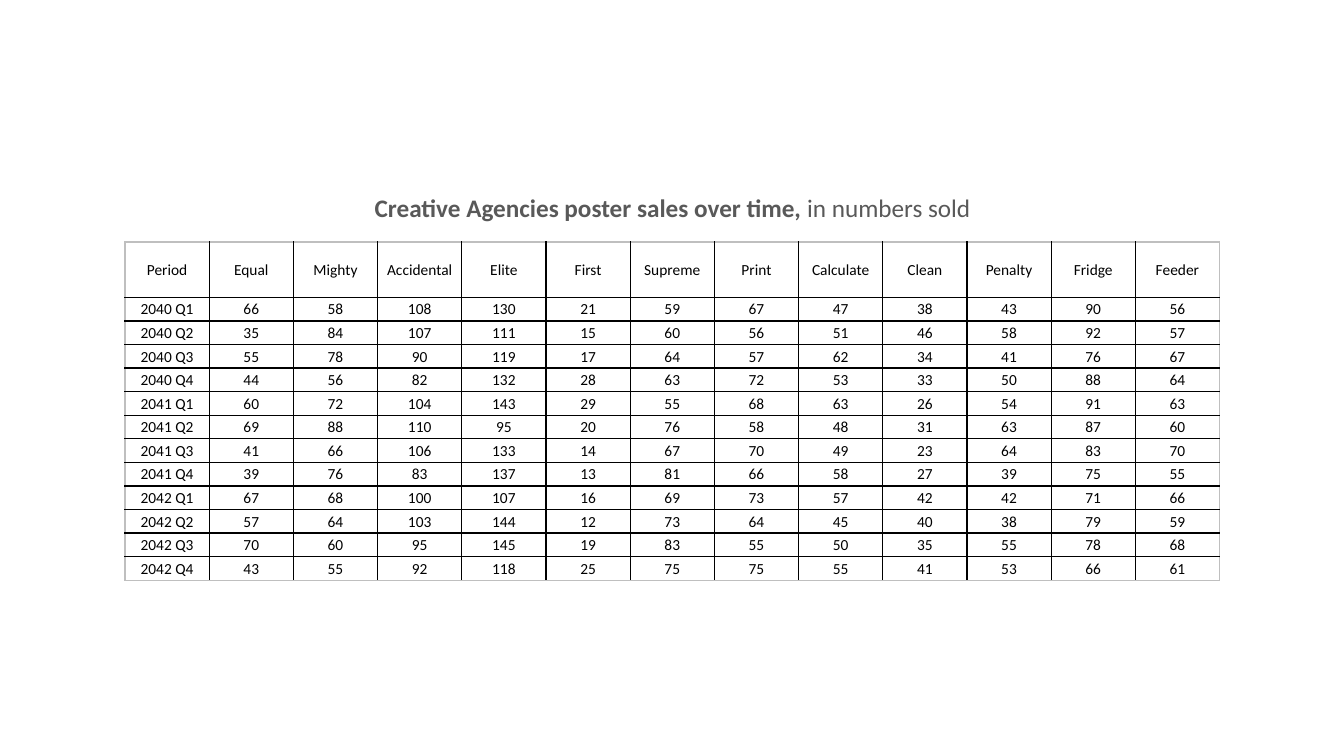
from lxml import etree
from pptx import Presentation
from pptx.dml.color import RGBColor
from pptx.enum.text import MSO_ANCHOR, MSO_AUTO_SIZE, PP_ALIGN
from pptx.oxml.ns import qn
from pptx.util import Inches, Pt

MIDDLE = MSO_ANCHOR.MIDDLE
CENTER = PP_ALIGN.CENTER
FIXED = MSO_AUTO_SIZE.NONE

TITLE = ("Creative Agencies poster sales over time, ", "in numbers sold")
HEADS = ("Period", "Equal", "Mighty", "Accidental", "Elite", "First", "Supreme",
         "Print", "Calculate", "Clean", "Penalty", "Fridge", "Feeder")
SALES = [
    ("2040 Q1", 66, 58, 108, 130, 21, 59, 67, 47, 38, 43, 90, 56),
    ("2040 Q2", 35, 84, 107, 111, 15, 60, 56, 51, 46, 58, 92, 57),
    ("2040 Q3", 55, 78, 90, 119, 17, 64, 57, 62, 34, 41, 76, 67),
    ("2040 Q4", 44, 56, 82, 132, 28, 63, 72, 53, 33, 50, 88, 64),
    ("2041 Q1", 60, 72, 104, 143, 29, 55, 68, 63, 26, 54, 91, 63),
    ("2041 Q2", 69, 88, 110, 95, 20, 76, 58, 48, 31, 63, 87, 60),
    ("2041 Q3", 41, 66, 106, 133, 14, 67, 70, 49, 23, 64, 83, 70),
    ("2041 Q4", 39, 76, 83, 137, 13, 81, 66, 58, 27, 39, 75, 55),
    ("2042 Q1", 67, 68, 100, 107, 16, 69, 73, 57, 42, 42, 71, 66),
    ("2042 Q2", 57, 64, 103, 144, 12, 73, 64, 45, 40, 38, 79, 59),
    ("2042 Q3", 70, 60, 95, 145, 19, 83, 55, 50, 35, 55, 78, 68),
    ("2042 Q4", 43, 55, 92, 118, 25, 75, 75, 55, 41, 53, 66, 61),
]
ROWS = [HEADS] + SALES
BLACK, GREY, EDGE = "000000", "595959", "BFBFBF"
LEFT, TOP, WIDTH, HEIGHT = 1.24, 2.4, 10.86, 3.36
HEAD = 0.55


def color(code):
    return RGBColor.from_string(code)


def write(para, text, size=11, ink=BLACK, bold=False):
    para.alignment = CENTER
    run = para.add_run()
    run.text = str(text)
    font = run.font
    font.name, font.size, font.bold = "Calibri", Pt(size), bold
    font.color.rgb = color(ink)


def border(cell, side, ink):
    line = etree.SubElement(cell._tc.get_or_add_tcPr(), qn("a:ln" + side), w=str(Pt(1)))
    fill = etree.SubElement(line, qn("a:solidFill"))
    etree.SubElement(fill, qn("a:srgbClr"), val=ink)


def add_title(slide):
    box = slide.shapes.title
    box.left, box.top = Inches(3.07), Inches(1.86)
    box.width, box.height = Inches(7.2), Inches(0.4)
    frame = box.text_frame
    frame.word_wrap = True
    frame.auto_size = FIXED
    frame.vertical_anchor = MIDDLE
    for text, bold in zip(TITLE, (True, False)):
        write(frame.paragraphs[0], text, size=18, ink=GREY, bold=bold)


def add_sales(slide):
    count, wide = len(ROWS), len(HEADS)
    table = slide.shapes.add_table(count, wide, Inches(LEFT), Inches(TOP),
                                   Inches(WIDTH), Inches(HEIGHT)).table
    table.first_row = table.horz_banding = False
    for col in table.columns:
        col.width = Inches(WIDTH / wide)
    for row in table.rows:
        row.height = Inches((HEIGHT - HEAD) / len(SALES))
    table.rows[0].height = Inches(HEAD)
    for r, row in enumerate(ROWS):
        for c, text in enumerate(row):
            cell = table.cell(r, c)
            cell.margin_left = cell.margin_right = cell.margin_top = Inches(0.01)
            cell.margin_bottom = 0
            cell.vertical_anchor = MIDDLE
            write(cell.text_frame.paragraphs[0], text)
            outer = {"L": c == 0, "R": c == wide - 1, "T": r == 0, "B": r == count - 1}
            for side, edge in outer.items():
                border(cell, side, EDGE if edge else BLACK)
            cell.fill.background()


def main():
    deck = Presentation()
    deck.slide_width, deck.slide_height = Inches(13.33), Inches(7.5)
    slide = deck.slides.add_slide(deck.slide_layouts[5])
    add_sales(slide)
    add_title(slide)
    deck.save("out.pptx")


if __name__ == "__main__":
    main()
